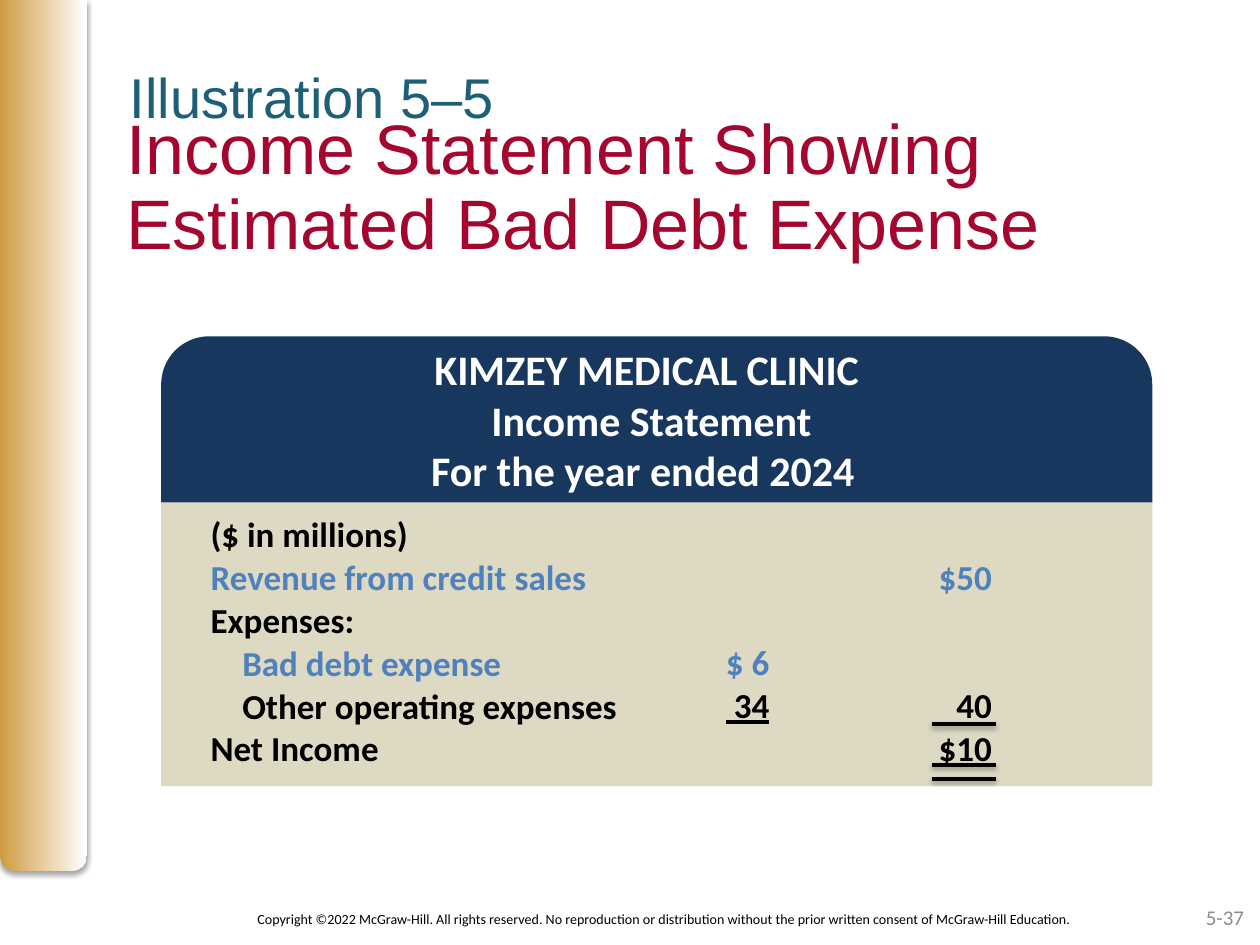
from lxml.etree import SubElement
from pptx import Presentation
from pptx.dml.color import RGBColor
from pptx.enum.shapes import MSO_CONNECTOR as CONN, MSO_SHAPE as SHAPE
from pptx.enum.text import MSO_ANCHOR as ANCHOR, PP_ALIGN as ALIGN
from pptx.oxml.ns import qn
from pptx.util import Cm, Pt

BLACK = RGBColor(0x00, 0x00, 0x00)
WHITE = RGBColor(0xFF, 0xFF, 0xFF)
GOLD = RGBColor(0xCF, 0x9B, 0x41)
GREY = RGBColor(0x8C, 0x8C, 0x8C)
BLUE = RGBColor(0x4F, 0x81, 0xBD)
NAVY = RGBColor(0x17, 0x37, 0x5E)
SAND = RGBColor(0xDD, 0xD9, 0xC3)
TEAL = RGBColor(0x1D, 0x5F, 0x76)
CRIMSON = RGBColor(0xA5, 0x06, 0x2D)

TITLE = "Income Statement Showing Estimated Bad Debt Expense"
LABEL = "Illustration 5–5"
HEADING = ["KIMZEY MEDICAL CLINIC ", "Income Statement", "For the year ended 2024\t"]
COPYRIGHT = ("Copyright ©2022 McGraw-Hill. All rights reserved. No reproduction or "
             "distribution without the prior written consent of McGraw-Hill Education.")
NUMBER = "5-37"
LINES = [
    ("($ in millions)", "", "", BLACK),
    ("Revenue from credit sales", "", "$50", BLUE),
    ("Expenses:", "", "", BLACK),
    ("Bad debt expense", "$ 6", "", BLUE),
    ("Other operating expenses", " 34", "40", BLACK),
    ("Net Income", "", "$10", BLACK),
]
INDENTED = {"Bad debt expense", "Other operating expenses"}
UNDERLINED = {" 34"}
COL_WIDTHS = [10.39, 2.82, 3.05]
COL_ALIGNS = [ALIGN.LEFT, ALIGN.LEFT, ALIGN.RIGHT]
TABLE_HEIGHT, INDENT = 5.33, 0.64
LINE_PITCH, CELL_TOP = 24.4, 3.6
PANEL_LEFT, PANEL_WIDTH = 3.25, 19.98
RULE_LEFT, RULE_RIGHT = 18.79, 20.08
RULE_TOPS = [14.6, 15.42, 15.7]


def set_font(p, **values):
    for name, value in values.items():
        if name == "color":
            p.font.color.rgb = value
        else:
            setattr(p.font, name, value)


def add_shadow(sp, blur, dist, alpha):
    effects = SubElement(sp._element.spPr, qn("a:effectLst"))
    shadow = SubElement(effects, qn("a:outerShdw"), blurRad=str(Pt(blur)),
                        dist=str(Pt(dist)), dir="5400000", rotWithShape="0")
    color = SubElement(shadow, qn("a:srgbClr"), val="000000")
    SubElement(color, qn("a:alpha"), val=str(alpha * 1000))


def add_panel(slide, kind, left, top, width, height):
    sp = slide.shapes.add_shape(kind, Cm(left), Cm(top), Cm(width), Cm(height))
    sp.line.fill.background()
    return sp


def add_text(slide, box, lines, align, frame=None, **font):
    tf = slide.shapes.add_textbox(*map(Cm, box)).text_frame
    tf.word_wrap = True
    for name, value in (frame or {}).items():
        setattr(tf, name, value)
    for i, line in enumerate(lines):
        p = tf.add_paragraph() if i else tf.paragraphs[0]
        p.text, p.alignment = line, align
        set_font(p, **font)


def fill_cell(cell, entries, align):
    tcPr = cell._tc.get_or_add_tcPr()
    for side in ("lnL", "lnR", "lnT", "lnB"):
        SubElement(SubElement(tcPr, qn("a:" + side), w="0"), qn("a:noFill"))
    cell.fill.background()
    tf = cell.text_frame
    cell.margin_top = Pt(CELL_TOP + LINE_PITCH * entries[0][0])
    cell.margin_bottom = 0
    previous = None
    for line, text, color in entries:
        if previous is None:
            p = tf.paragraphs[0]
        else:
            p = tf.add_paragraph()
            p.space_before = Pt(LINE_PITCH * (line - previous - 1))
        previous = line
        p.text, p.alignment = text, align
        if text in INDENTED:
            p._p.get_or_add_pPr().set("marL", str(Cm(INDENT)))
        set_font(p, name="Calibri", size=Pt(20), bold=True, color=color)
        p.runs[0].font.underline = text in UNDERLINED


def add_statement(slide):
    table = slide.shapes.add_table(
        1, len(COL_WIDTHS), Cm(3.99), Cm(10.24),
        Cm(sum(COL_WIDTHS)), Cm(TABLE_HEIGHT)).table
    table.first_row = table.horz_banding = False
    for col, (width, align) in enumerate(zip(COL_WIDTHS, COL_ALIGNS)):
        table.columns[col].width = Cm(width)
        entries = [(i, line[col], line[-1]) for i, line in enumerate(LINES) if line[col]]
        fill_cell(table.cell(0, col), entries, align)


def main():
    prs = Presentation()
    prs.slide_width, prs.slide_height = Cm(25.4), Cm(19.05)
    slide = prs.slides.add_slide(prs.slide_layouts[5])
    no_margins = dict.fromkeys(
        ("margin_left", "margin_top", "margin_right", "margin_bottom"), 0)

    side_bar = add_panel(slide, SHAPE.ROUND_2_SAME_RECTANGLE, 0, 0, 1.75, 17.55)
    side_bar.adjustments[0], side_bar.adjustments[1] = 0, 0.17
    side_bar.fill.gradient()
    side_bar.fill.gradient_angle = 0
    for stop, color, position in zip(side_bar.fill.gradient_stops, (GOLD, WHITE), (0, 1)):
        stop.color.rgb, stop.position = color, position
    add_shadow(side_bar, 3.1, 1.8, 35)

    add_text(slide, (3.71, 18.24, 19.38, 0.61), [COPYRIGHT], ALIGN.CENTER,
             name="Calibri", size=Pt(8), color=BLACK)
    add_text(slide, (19.41, 17.98, 5.92, 1.02), [NUMBER], ALIGN.RIGHT,
             {"vertical_anchor": ANCHOR.MIDDLE},
             name="Calibri", size=Pt(12), color=GREY)

    body = add_panel(slide, SHAPE.RECTANGLE, PANEL_LEFT, 10.13, PANEL_WIDTH, 5.72)
    header = add_panel(slide, SHAPE.ROUND_2_SAME_RECTANGLE,
                       PANEL_LEFT, 6.78, PANEL_WIDTH, 3.35)
    header.adjustments[0] = 0.29
    for sp, color in ((body, SAND), (header, NAVY)):
        sp.fill.solid()
        sp.fill.fore_color.rgb = color
        sp.shadow.inherit = False

    add_statement(slide)

    title = slide.shapes.title
    title.left, title.top, title.width, title.height = map(Cm, (2.54, 2.29, 22.86, 3.18))
    tf = title.text_frame
    for name, value in {**no_margins, "vertical_anchor": ANCHOR.TOP}.items():
        setattr(tf, name, value)
    p = tf.paragraphs[0]
    p.text, p.alignment, p.line_spacing = TITLE, ALIGN.LEFT, 0.9
    set_font(p, name="Arial", size=Pt(40), color=CRIMSON)

    add_text(slide, (2.62, 1.27, 14.63, 1.17), [LABEL], ALIGN.LEFT, no_margins,
             name="Arial", size=Pt(32), color=TEAL)
    add_text(slide, (3.56, 6.81, 19.15, 3.33), HEADING, ALIGN.CENTER,
             name="Calibri", size=Pt(24), bold=True, color=WHITE)

    for top in RULE_TOPS:
        rule = slide.shapes.add_connector(
            CONN.STRAIGHT, Cm(RULE_LEFT), Cm(top), Cm(RULE_RIGHT), Cm(top))
        rule.line.color.rgb, rule.line.width = BLACK, Pt(2)
        add_shadow(rule, 3.1, 1.6, 38)

    prs.save("out.pptx")


if __name__ == "__main__":
    main()
